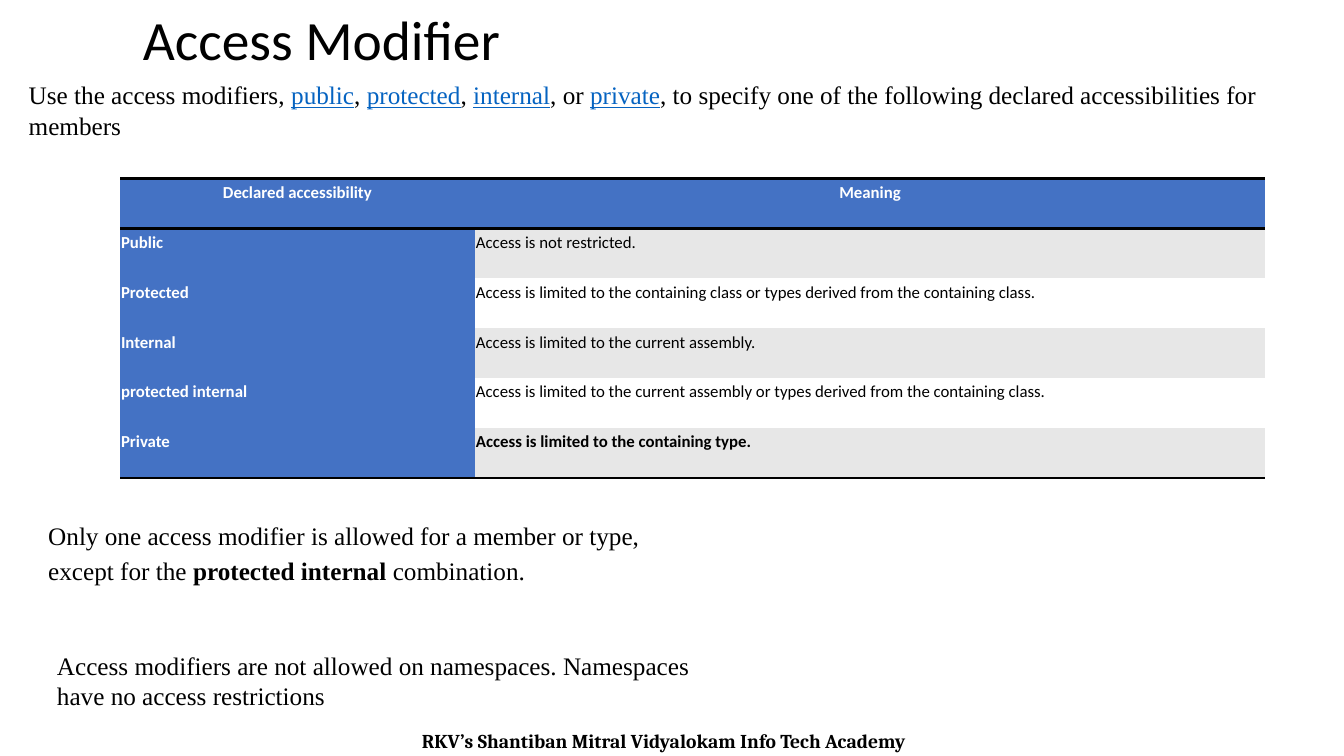
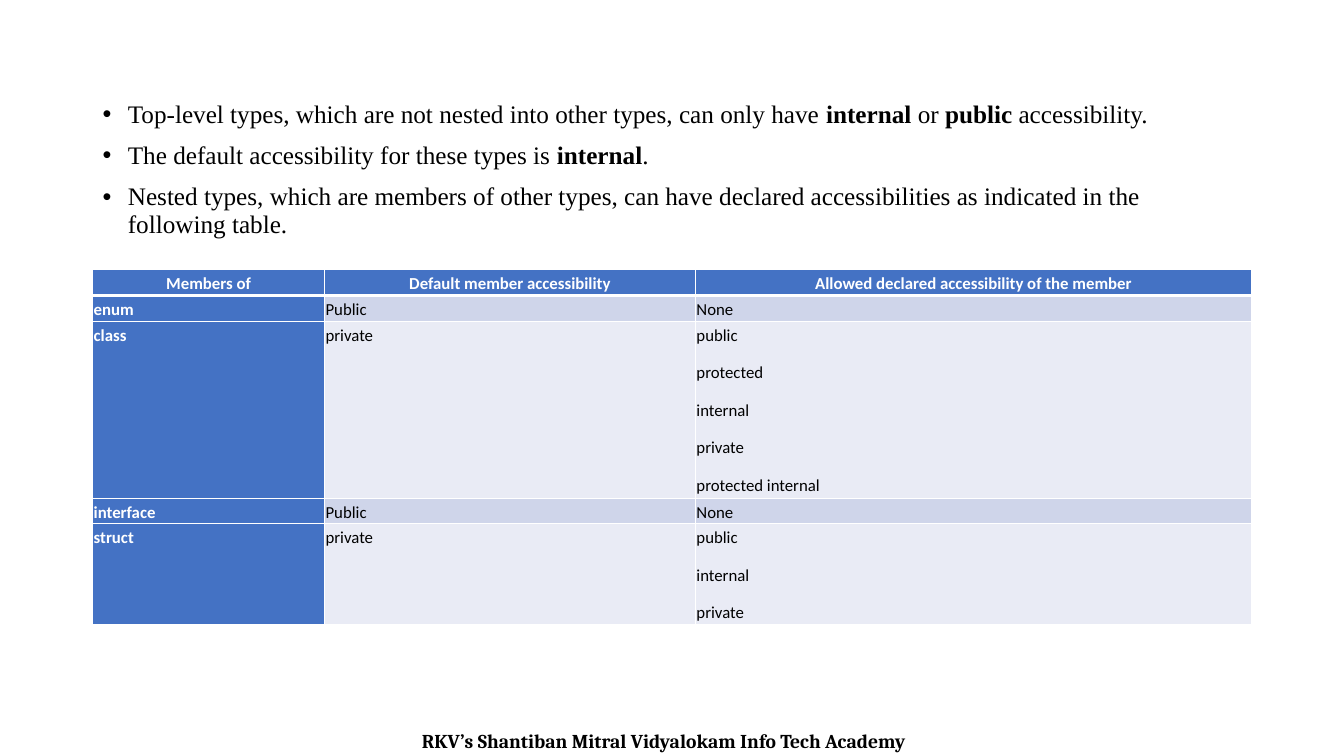
from dataclasses import dataclass, field
from typing import Any, NamedTuple

from lxml.etree import SubElement as Sub
from pptx import Presentation
from pptx.dml.color import RGBColor as Rgb
from pptx.enum.text import MSO_ANCHOR as Anchor, PP_ALIGN as Align
from pptx.oxml.ns import qn
from pptx.util import Inches, Pt

WIDE, HIGH = Inches(13.33), Inches(7.5)
HUES = {
    "ink": "000000", "paper": "FFFFFF", "link": "0563C1", "head": "4472C4",
    "gray": "E7E7E7", "dark": "CFD5EA", "pale": "E9EBF5",
}
BODY = {"name": "Times New Roman", "size": Pt(18), "hue": "ink"}
TITLE = {"name": "Calibri", "size": Pt(39.6), "hue": "ink"}
FOOT = {"name": "Cambria", "size": Pt(14), "bold": True, "hue": "ink"}
CELL = {"name": "Calibri", "size": Pt(12), "hue": "ink"}
HEAD = CELL | {"bold": True, "hue": "paper"}
BOLD = {"bold": True}
LINK = {"underline": True, "hue": "link"}
LOOSE = {"line_spacing": 1.15, "space_after": Pt(10)}
TIGHT = {"line_spacing": 0.9}
MID = {"alignment": Align.CENTER}


class Box(NamedTuple):
    """Left, top, width and height in percent of the slide."""
    left: float
    top: float
    wide: float
    high: float

    def place(self) -> tuple[int, ...]:
        """Turn the shares into slide lengths."""
        full = (WIDE, HIGH, WIDE, HIGH)
        return tuple(int(side * part / 100) for side, part in zip(full, self))


class Line(NamedTuple):
    """Colour and point width of a table rule."""
    hue: str
    size: float


@dataclass
class Note:
    """A text box whose starred words take the mark format."""
    box: Box
    text: list[str]
    font: dict[str, Any] = field(default_factory=lambda: BODY)
    para: dict[str, Any] = field(default_factory=dict)
    mark: dict[str, Any] = field(default_factory=lambda: BOLD)
    frame: dict[str, Any] = field(default_factory=dict)
    dots: bool = False


@dataclass
class Chart:
    """A table with column shares, row heights and rules."""
    box: Box
    cols: list[float]
    rows: list[float]
    cells: list[list[str]]
    bands: tuple[str, str]
    base: Line | None
    rules: dict[int, Line]


def tint(name: str) -> Rgb:
    """Look up a colour."""
    return Rgb.from_string(HUES[name])


def apply(item: Any, form: dict[str, Any]) -> None:
    """Set each format value on an object."""
    for name, value in form.items():
        if name == "hue":
            item.color.rgb = tint(value)
        else:
            setattr(item, name, value)


def write(para: Any, text: str, font: dict, form: dict, mark: dict) -> None:
    """Fill a paragraph, formatting the starred words."""
    apply(para, form)
    for spot, part in enumerate(text.split("*")):
        if part:
            run = para.add_run()
            run.text = part
            apply(run.font, font | mark if spot % 2 else font)


def dot(para: Any) -> None:
    """Give a paragraph a hanging bullet."""
    props = para._p.get_or_add_pPr()
    props.set("marL", str(Inches(0.25)))
    props.set("indent", str(-Inches(0.25)))
    Sub(props, qn("a:buFont"), typeface="Arial")
    Sub(props, qn("a:buChar"), char="•")


def add_note(slide: Any, note: Note) -> None:
    """Draw a text box."""
    frame = slide.shapes.add_textbox(*note.box.place()).text_frame
    apply(frame, {"word_wrap": True} | note.frame)
    for spot, text in enumerate(note.text):
        para = frame.add_paragraph() if spot else frame.paragraphs[0]
        if note.dots:
            dot(para)
        gap = {"space_before": Pt(10)} if spot else {}
        write(para, text, note.font, note.para | gap, note.mark)


def edge(cell: Any, side: str, line: Line | None) -> None:
    """Rule one side of a cell, or leave it bare."""
    size = Pt(line.size) if line else 0
    rule = Sub(cell._tc.get_or_add_tcPr(), qn(f"a:ln{side}"), w=str(size))
    if line:
        fill = Sub(rule, qn("a:solidFill"))
        Sub(fill, qn("a:srgbClr"), val=HUES[line.hue])
    else:
        Sub(rule, qn("a:noFill"))


def add_cell(cell: Any, chart: Chart, row: int, col: int) -> None:
    """Format and fill one table cell."""
    top = chart.rules.get(row, chart.base)
    low = chart.rules.get(row + 1, chart.base)
    for side, line in zip("LRTB", (chart.base, chart.base, top, low)):
        edge(cell, side, line)
    lead = row == 0 or col == 0
    cell.fill.solid()
    cell.fill.fore_color.rgb = tint("head" if lead else chart.bands[(row - 1) % 2])
    sides = ("left", "right", "top", "bottom")
    apply(cell, {f"margin_{side}": Inches(0.01) for side in sides})
    for spot, text in enumerate(chart.cells[row][col].split("\n")):
        frame = cell.text_frame
        para = frame.add_paragraph() if spot else frame.paragraphs[0]
        form = LOOSE | (MID if row == 0 else {})
        write(para, text, HEAD if lead else CELL, form, BOLD)


def add_chart(slide: Any, chart: Chart) -> None:
    """Draw a table."""
    size = len(chart.rows), len(chart.cols)
    table = slide.shapes.add_table(*size, *chart.box.place()).table
    apply(table, {"first_row": True, "first_col": True, "horz_banding": False})
    for col, part in zip(table.columns, chart.cols):
        col.width = int(WIDE * chart.box.wide / 100 * part)
    for row, part in zip(table.rows, chart.rows):
        row.height = int(HIGH * part / 100)
    for row in range(size[0]):
        for col in range(size[1]):
            add_cell(table.cell(row, col), chart, row, col)


FOOTER = Note(Box(-0.6, 95.7, 100, 4.5),
              ["RKV’s Shantiban Mitral Vidyalokam Info Tech Academy"], FOOT, MID)
RULE = Line("ink", 2)
ACCESS = [
    Note(Box(9.9, 1.1, 83.4, 9.1), ["Access Modifier"], TITLE, TIGHT,
         frame={"vertical_anchor": Anchor.MIDDLE}),
    Chart(
        Box(8.93, 23.6, 85.2, 39.6), [0.31, 0.69], [6.6] * 6,
        [
            ["Declared accessibility", "Meaning"],
            ["Public", "Access is not restricted."],
            ["Protected", "Access is limited to the containing class or types "
             "derived from the containing class."],
            ["Internal", "Access is limited to the current assembly."],
            ["protected internal", "Access is limited to the current assembly "
             "or types derived from the containing class."],
            ["Private", "*Access is limited to the containing type.*"],
        ],
        ("gray", "paper"), None, {0: RULE, 1: RULE, 6: RULE}),
    Note(Box(1.4, 9.9, 96.6, 9.5),
         ["Use the access modifiers, *public*, *protected*, *internal*, or "
          "*private*, to specify one of the following declared "
          "accessibilities for members"], mark=LINK),
    Note(Box(2.85, 67.6, 50.3, 10.4),
         ["Only one access modifier is allowed for a member or type, except "
          "for the *protected internal* combination."], para=LOOSE),
    Note(Box(3.5, 85.3, 50.3, 9.5),
         ["Access modifiers are not allowed on namespaces. Namespaces have "
          "no access restrictions"]),
]
NESTED = [
    Note(
        Box(6.9, 12.8, 86.25, 63.5),
        [
            "Top-level types, which are not nested into other types, can only "
            "have *internal* or *public* accessibility.",
            "The default accessibility for these types is *internal*.",
            "Nested types, which are members of other types, can have declared "
            "accessibilities as indicated in the following table.",
        ],
        para=TIGHT, dots=True),
    Chart(
        Box(6.9, 35.7, 86.25, 47), [0.2, 0.32, 0.48],
        [3.4, 3.4, 23.4, 3.4, 13.4],
        [
            ["Members of", "Default member accessibility",
             "Allowed declared accessibility of the member"],
            ["enum", "Public", "None"],
            ["class", "private",
             "public\nprotected\ninternal\nprivate\nprotected internal"],
            ["interface", "Public", "None"],
            ["struct", "private", "public\ninternal\nprivate"],
        ],
        ("dark", "pale"), Line("paper", 1), {1: Line("paper", 3)}),
]


def main() -> None:
    """Build and save the deck."""
    deck = Presentation()
    apply(deck, {"slide_width": WIDE, "slide_height": HIGH})
    for parts in (ACCESS, NESTED):
        slide = deck.slides.add_slide(deck.slide_layouts[6])
        for part in (FOOTER, *parts):
            draw = add_note if isinstance(part, Note) else add_chart
            draw(slide, part)
    deck.save("out.pptx")


if __name__ == "__main__":
    main()
